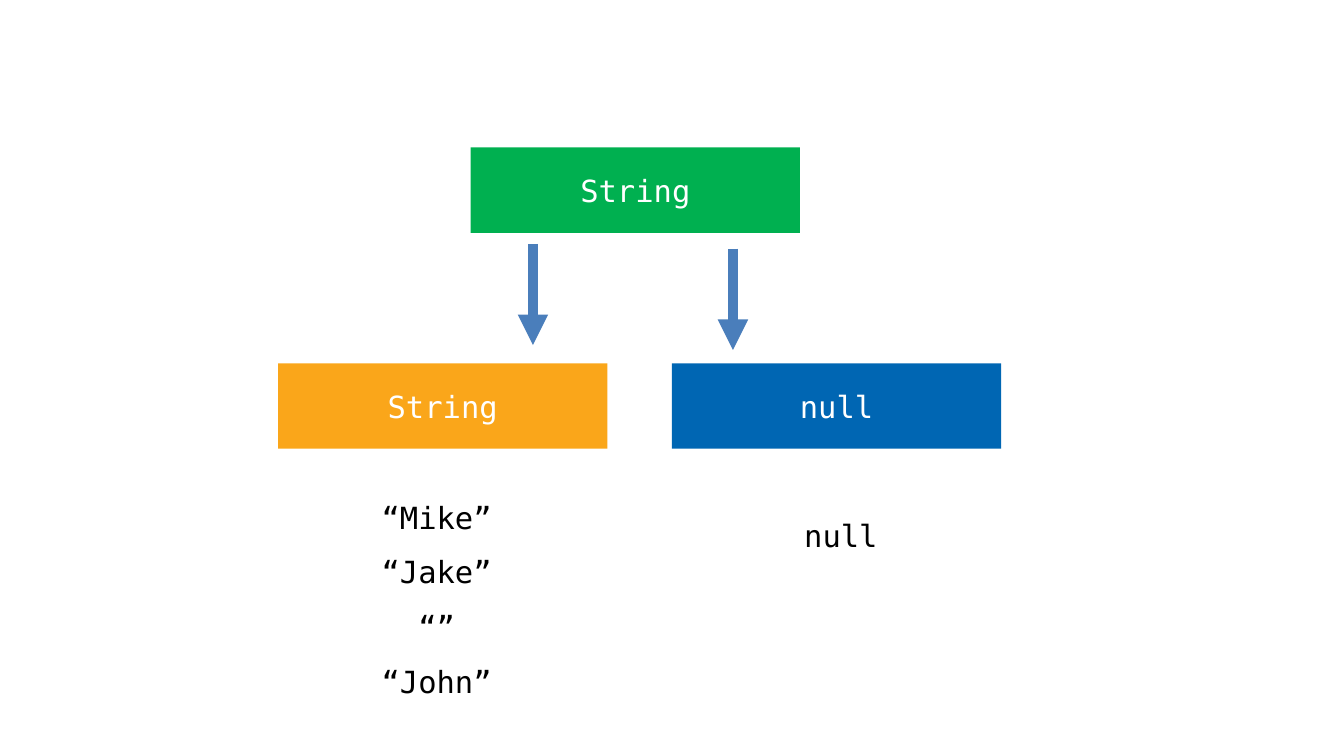
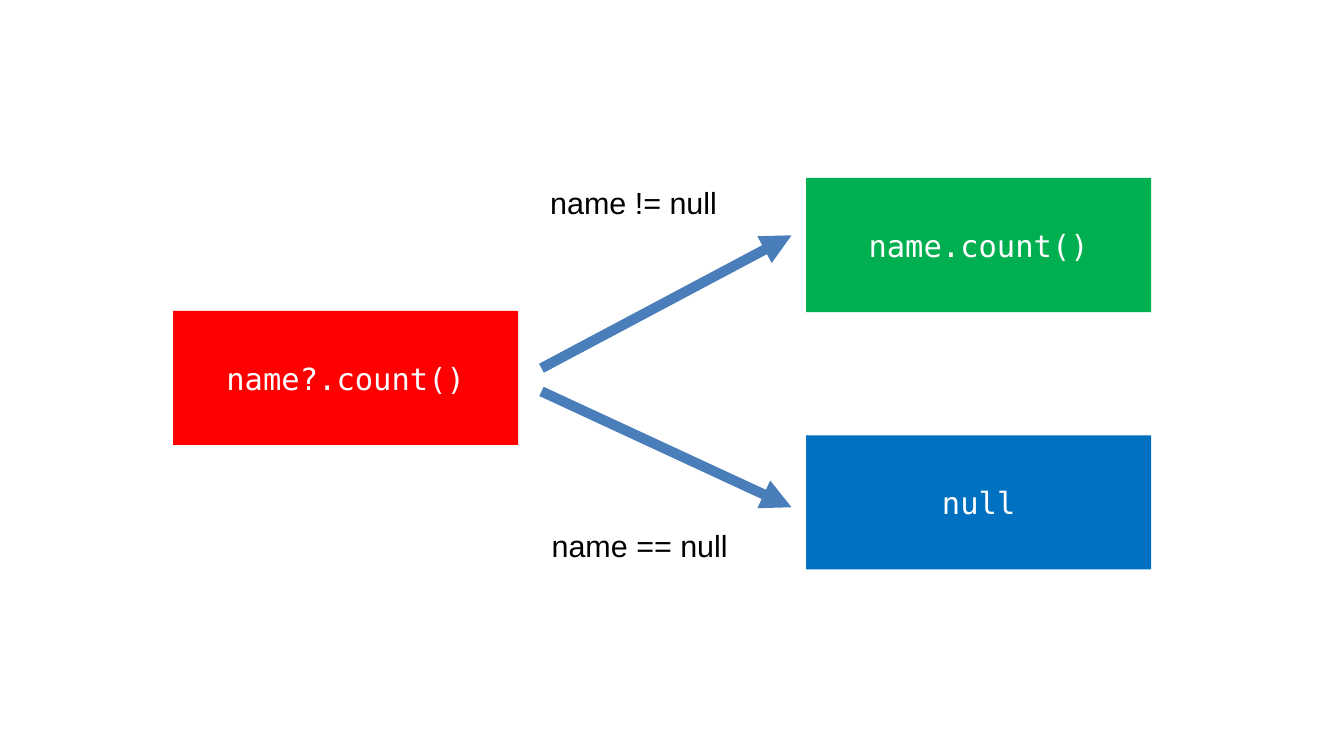
from lxml import etree
from pptx import Presentation
from pptx.dml.color import RGBColor
from pptx.enum import shapes, text
from pptx.oxml.ns import qn
from pptx.util import Inches, Pt

COLORS = {
    "green": "00B050",
    "orange": "FAA61A",
    "navy": "0066B3",
    "blue": "0070C0",
    "red": "FF0000",
    "arrow": "4A7EBB",
    "white": "FFFFFF",
    "black": "000000",
}
CODE_FONT = "DejaVu Sans Mono"
LABEL_FONT = "Arial"


def add_text(slide, lines, left, top, width, height, fill=None, font=CODE_FONT, spacing=None):
    """Add centred text, in a filled box with white letters or on the bare slide."""
    place = [Inches(n) for n in (left, top, width, height)]
    if fill:
        holder = slide.shapes.add_shape(shapes.MSO_SHAPE.RECTANGLE, *place)
        holder.shadow.inherit = False
        holder.fill.solid()
        holder.fill.fore_color.rgb = RGBColor.from_string(COLORS[fill])
        holder.line.fill.background()
    else:
        holder = slide.shapes.add_textbox(*place)
    frame = holder.text_frame
    frame.word_wrap = True
    frame.vertical_anchor = text.MSO_ANCHOR.MIDDLE if fill else text.MSO_ANCHOR.TOP
    frame.text = lines
    for paragraph in frame.paragraphs:
        paragraph.alignment = text.PP_ALIGN.CENTER
        paragraph.line_spacing = spacing
        letters = paragraph.runs[0].font
        letters.name = font
        letters.size = Pt(18)
        letters.color.rgb = RGBColor.from_string(COLORS["white" if fill else "black"])


def add_arrow(slide, *ends):
    arrow = slide.shapes.add_connector(
        shapes.MSO_CONNECTOR.STRAIGHT, *[Inches(n) for n in ends])
    arrow.line.color.rgb = RGBColor.from_string(COLORS["arrow"])
    arrow.line.width = Pt(6)
    etree.SubElement(arrow.line._get_or_add_ln(), qn("a:tailEnd"), type="triangle")
    etree.SubElement(arrow._element.spPr, qn("a:effectLst"))


deck = Presentation()
deck.slide_width = Inches(11.02)
deck.slide_height = Inches(6.2)
blank = deck.slide_layouts[6]

# Nullable type: a string or null
types = deck.slides.add_slide(blank)
for label, left, top, fill in [
    ("String", 3.86, 1.21, "green"),
    ("String", 2.28, 2.98, "orange"),
    ("null", 5.51, 2.98, "navy"),
]:
    add_text(types, label, left, top, 2.7, 0.7, fill=fill)
for x, top in [(4.37, 2), (6.01, 2.04)]:
    add_arrow(types, x, top, x, top + 0.83)
add_text(types, "“Mike”\n“Jake”\n“”\n“John”", 2.44, 3.89, 2.28, 1.9, spacing=1.5)
add_text(types, "null", 5.83, 4.19, 2.13, 0.4)

# Safe call: two outcomes
safe_call = deck.slides.add_slide(blank)
for label, left, top, fill in [
    ("name?.count()", 1.42, 2.55, "red"),
    ("name.count()", 6.61, 1.46, "green"),
    ("null", 6.61, 3.57, "blue"),
]:
    add_text(safe_call, label, left, top, 2.83, 1.1, fill=fill)
for start_y, end_y in [(3.02, 1.93), (3.21, 4.16)]:
    add_arrow(safe_call, 4.44, start_y, 6.49, end_y)
for condition, left, top in [("name != null", 4.17, 1.46), ("name == null", 4.22, 4.27)]:
    add_text(safe_call, condition, left, top, 2.05, 0.4, font=LABEL_FONT)

deck.save("out.pptx")
